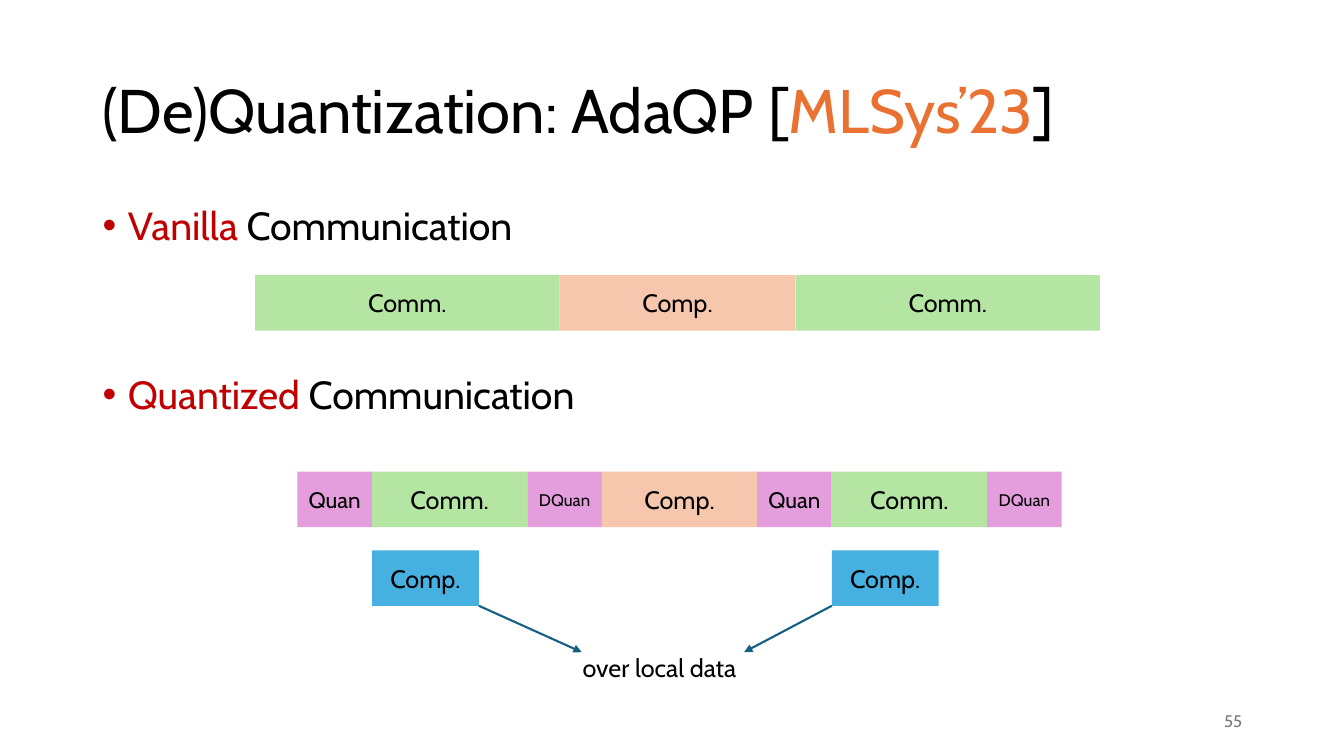
from dataclasses import dataclass

from lxml import etree
from pptx import Presentation
from pptx.dml.color import RGBColor
from pptx.enum.shapes import MSO_CONNECTOR, MSO_SHAPE
from pptx.enum.text import MSO_ANCHOR, PP_ALIGN
from pptx.oxml.ns import qn
from pptx.util import Inches, Pt

RECT = MSO_SHAPE.RECTANGLE
LINE = MSO_CONNECTOR.STRAIGHT
TOP, MIDDLE = MSO_ANCHOR.TOP, MSO_ANCHOR.MIDDLE
LEFT, CENTER, RIGHT = PP_ALIGN.LEFT, PP_ALIGN.CENTER, PP_ALIGN.RIGHT


@dataclass(frozen=True)
class Theme:
    font: str = "Cabin"
    ink: str = "000000"
    venue: str = "E97132"
    key: str = "C00000"
    muted: str = "797979"
    green: str = "B4E5A2"
    peach: str = "F6C6AD"
    pink: str = "E59EDD"
    blue: str = "46B1E1"
    arrow: str = "156082"
    title: int = 44
    body: int = 28
    label: int = 18
    small: int = 16
    tiny: int = 12


THEME = Theme()
HIGH = 0.55
COMM = ("Comm.", THEME.green, THEME.label)
COMP = ("Comp.", THEME.peach, THEME.label)
LOCAL = ("Comp.", THEME.blue, THEME.label)
QUAN = ("Quan", THEME.pink, THEME.small)
DQUAN = ("DQuan", THEME.pink, THEME.tiny)


def color(code):
    return RGBColor.from_string(code)


def write(para, parts, size, align=LEFT):
    para.alignment = align
    para.font.name = THEME.font
    para.font.size = Pt(size)
    for text, code in parts:
        run = para.add_run()
        run.text = text
        run.font.color.rgb = color(code)


def add_text(slide, box, anchor=TOP):
    frame = slide.shapes.add_textbox(*map(Inches, box)).text_frame
    frame.word_wrap = True
    frame.vertical_anchor = anchor
    return frame


def add_title(slide, box):
    para = add_text(slide, box, MIDDLE).paragraphs[0]
    para.line_spacing = 0.9
    parts = [("(De)Quantization: AdaQP [", THEME.ink),
             ("MLSys’23", THEME.venue), ("]", THEME.ink)]
    write(para, parts, THEME.title)


def add_heads(slide, box):
    frame = add_text(slide, box)
    for i, word in enumerate(["Vanilla", "Quantized"]):
        para = frame.add_paragraph() if i else frame.paragraphs[0]
        para.line_spacing = 0.9
        if i:
            para.space_before = Pt(90.5)
        props = para._p.get_or_add_pPr()
        props.set("marL", str(Inches(0.25)))
        props.set("indent", str(-Inches(0.25)))
        etree.SubElement(props, qn("a:buFont")).set("typeface", "Arial")
        etree.SubElement(props, qn("a:buChar")).set("char", "•")
        parts = [(word, THEME.key), (" Communication", THEME.ink)]
        write(para, parts, THEME.body)


def add_block(slide, box, kind):
    text, fill, size = kind
    block = slide.shapes.add_shape(RECT, *map(Inches, box))
    block.shadow.inherit = False
    block.fill.solid()
    block.fill.fore_color.rgb = color(fill)
    block.line.fill.background()
    frame = block.text_frame
    frame.word_wrap = True
    frame.vertical_anchor = MIDDLE
    write(frame.paragraphs[0], [(text, THEME.ink)], size, CENTER)


def add_bar(slide, left, top, steps):
    for kind, width in steps:
        add_block(slide, (left, top, width, HIGH), kind)
        left += width


def add_arrow(slide, start, end):
    line = slide.shapes.add_connector(LINE, *map(Inches, start + end))
    line.line.color.rgb = color(THEME.arrow)
    line.line.width = Pt(1.5)
    tail = etree.SubElement(line.line._get_or_add_ln(), qn("a:tailEnd"))
    tail.set("type", "triangle")
    etree.SubElement(line._element.spPr, qn("a:effectLst"))


def add_quant(slide, left, top):
    short, long, local = 0.74, 1.54, 1.06
    trip = [(QUAN, short), (COMM, long), (DQUAN, short)]
    add_bar(slide, left, top, trip + [(COMP, long)] + trip)
    first = left + short
    second = first + 2 * (short + long)
    low = top + 0.78
    for x in (first, second):
        add_block(slide, (x, low, local, HIGH), LOCAL)
    foot = low + HIGH
    tip = foot + 0.46
    add_arrow(slide, (first + local, foot), (left + 2.82, tip))
    add_arrow(slide, (second, foot), (left + 4.43, tip))
    note = add_text(slide, (left + 2.73, tip - 0.05, 1.85, 0.4))
    write(note.paragraphs[0], [("over local data", THEME.ink)], THEME.label)


def add_number(slide, box):
    para = add_text(slide, box, MIDDLE).paragraphs[0]
    write(para, [("55", THEME.muted)], THEME.tiny, RIGHT)


def main():
    deck = Presentation()
    deck.slide_width, deck.slide_height = Inches(13.33), Inches(7.5)
    slide = deck.slides.add_slide(deck.slide_layouts[6])
    add_title(slide, (0.92, 0.4, 11.5, 1.45))
    add_heads(slide, (0.92, 2, 11.5, 2.49))
    add_bar(slide, 2.53, 2.73, [(COMM, 3.02), (COMP, 2.34), (COMM, 3.02)])
    add_quant(slide, 2.95, 4.68)
    add_number(slide, (9.42, 6.95, 3, 0.4))
    deck.save("out.pptx")


if __name__ == "__main__":
    main()
